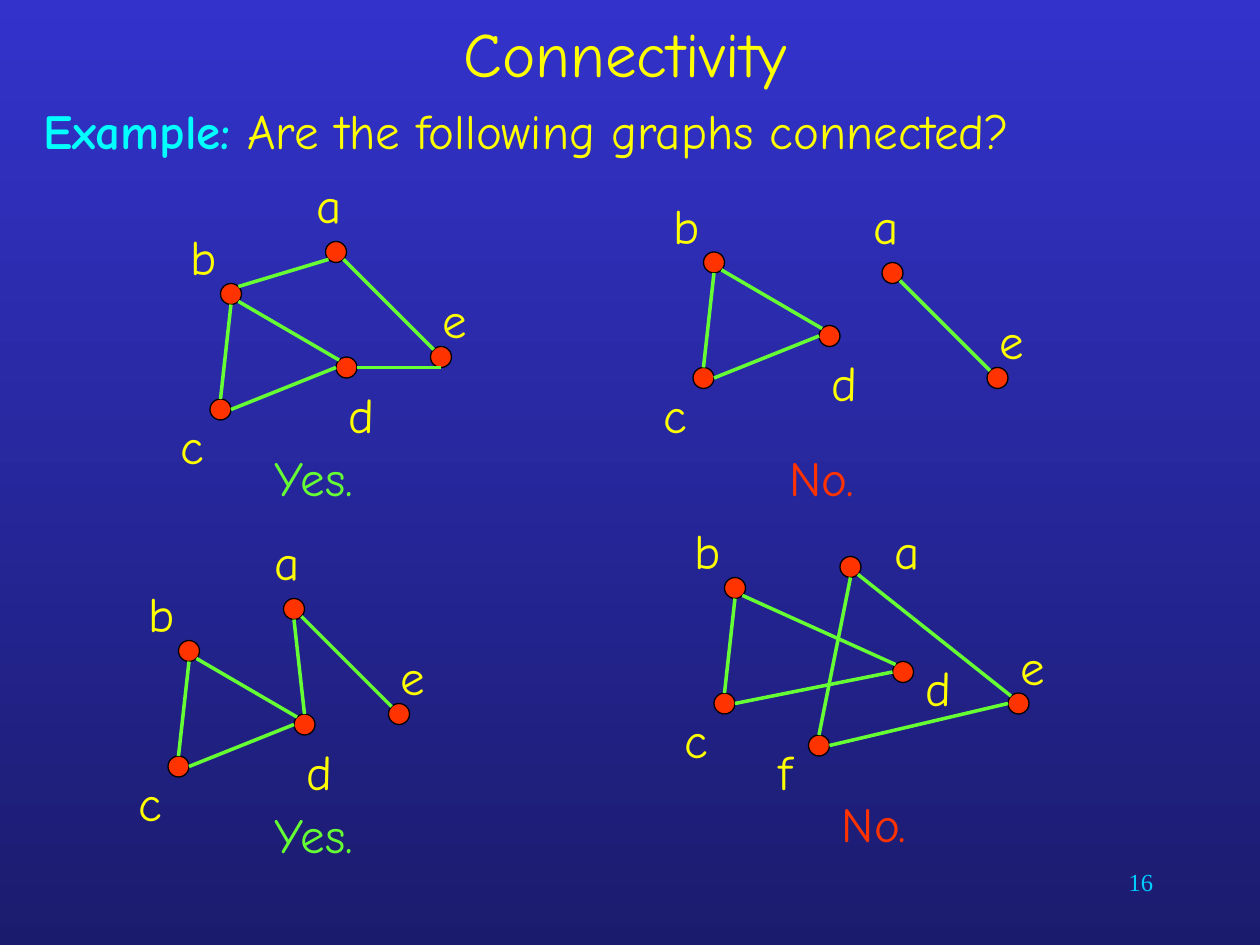
from math import copysign, sqrt

from lxml import etree
from pptx import Presentation
from pptx.dml.color import RGBColor
from pptx.enum import shapes, text
from pptx.oxml.ns import qn
from pptx.util import Inches, Pt

YELLOW = RGBColor(0xFF, 0xFF, 0x00)
CYAN = RGBColor(0x00, 0xFF, 0xFF)
GREEN = RGBColor(0x66, 0xFF, 0x33)
RED = RGBColor(0xFF, 0x33, 0x00)
BLACK = RGBColor(0x00, 0x00, 0x00)
PAGE_BLUE = RGBColor(0x00, 0xCC, 0xFF)
BACKGROUND = [RGBColor(0x33, 0x33, 0xCC), RGBColor(0x1B, 0x1B, 0x6E)]
FONT = "Comic Neue"

# Graph coordinates count twelfths of an inch; a node has a radius of one.
LABEL_OFFSETS = {"a": (-3, -8), "b": (-5, -7), "c": (-5, 0),
                 "d": (-1, 1), "e": (-1, -7), "f": (-5, -1)}
LABEL_WIDTHS = {"a": 8, "b": 4, "c": 5, "d": 8, "e": 8, "f": 5}
COMPASS = {"N": (0, -1), "S": (0, 1), "W": (-1, 0), "E": (1, 0),
           "NW": (-1, -1), "NE": (1, -1), "SW": (-1, 1), "SE": (1, 1)}

# Each edge: start node, side it leaves from, end node, side it reaches.
SHARED_EDGES = ["d W c E", "c N b S", "a SE e NW", "b SE d NW"]
GRAPHS = [
    {"nodes": {"a": (32, 24), "b": (22, 28), "c": (21, 39), "d": (33, 35), "e": (42, 34)},
     "edges": ["d E e S", "b NE a SW"],
     "answer": ("Yes.", GREEN, 25, 42)},
    {"nodes": {"a": (85, 26), "b": (68, 25), "c": (67, 36), "d": (79, 32), "e": (95, 36)},
     "edges": [],
     "answer": ("No.", RED, 74, 42)},
    {"nodes": {"a": (28, 58), "b": (18, 62), "c": (17, 73), "d": (29, 69), "e": (38, 68)},
     "edges": ["d N a S"],
     "answer": ("Yes.", GREEN, 25, 76)},
    {"nodes": {"a": (81, 54), "b": (70, 56), "c": (69, 67), "d": (86, 64), "e": (97, 67),
               "f": (78, 71)},
     "edges": ["f N a S", "f E e W"],
     "label_offsets": {"a": (3, -5), "d": (1, -2)},
     "answer": ("No.", RED, 79, 75)},
]


def add_text(parent, words, left, top, width, height, color, size=28, font=FONT):
    box = parent.add_textbox(Inches(left), Inches(top), Inches(width), Inches(height))
    box.text_frame.word_wrap = True
    para = box.text_frame.paragraphs[0]
    para.text = words
    para.font.name, para.font.size, para.font.color.rgb = font, Pt(size), color
    return para


def rim_point(center, side):
    """Point on a node's circle in a compass direction, in inches."""
    x, y = COMPASS[side]
    length = sqrt(x * x + y * y)
    return [Inches((middle + step / length) / 12) for middle, step in zip(center, (x, y))]


deck = Presentation()
deck.slide_width, deck.slide_height = Inches(10), Inches(7.5)
page = deck.slides.add_slide(deck.slide_layouts[5])

fill = page.background.fill
fill.gradient()
fill.gradient_angle = 270
for stop, color in zip(fill.gradient_stops, BACKGROUND):
    stop.color.rgb = color

title = page.shapes.title
title.left, title.top, title.width, title.height = map(Inches, (0.25, 0, 9.42, 0.83))
title.text_frame.vertical_anchor = text.MSO_ANCHOR.MIDDLE
para = title.text_frame.paragraphs[0]
para.text = "Connectivity"
para.alignment = text.PP_ALIGN.CENTER
para.font.name, para.font.size, para.font.color.rgb = FONT, Pt(36), YELLOW

question = add_text(page.shapes, "Example:", 0.25, 0.75, 9.58, 0.58, YELLOW)
question.runs[0].font.bold = True
question.runs[0].font.color.rgb = CYAN
question.add_run().text = " Are the following graphs connected?"

for graph in GRAPHS:
    group = page.shapes.add_group_shape().shapes
    offsets = LABEL_OFFSETS | graph.get("label_offsets", {})
    for name, (x, y) in graph["nodes"].items():
        node = group.add_shape(shapes.MSO_SHAPE.FLOWCHART_CONNECTOR,
                               Inches((x - 1) / 12), Inches((y - 1) / 12),
                               Inches(2 / 12), Inches(2 / 12))
        node.shadow.inherit = False
        node.fill.solid()
        node.fill.fore_color.rgb = RED
        node.line.color.rgb = BLACK
        node.line.width = Pt(0.75)
        shift_x, shift_y = offsets[name]
        add_text(group, name, (x + shift_x) / 12, (y + shift_y) / 12,
                 LABEL_WIDTHS[name] / 12, 0.57, YELLOW)

    for edge in SHARED_EDGES + graph["edges"]:
        start, start_side, end, end_side = edge.split()
        line = group.add_connector(shapes.MSO_CONNECTOR.STRAIGHT,
                                   *rim_point(graph["nodes"][start], start_side),
                                   *rim_point(graph["nodes"][end], end_side))
        line.line.color.rgb = GREEN
        line.line.width = Pt(2)
        etree.SubElement(line._element.spPr, qn("a:effectLst"))

    answer, color, x, y = graph["answer"]
    add_text(page.shapes, answer, x / 12, y / 12, 1, 0.58, color)

number = add_text(page.shapes, "16", 7.17, 6.83, 2.08, 0.5, PAGE_BLUE, 14, "Times New Roman")
number.alignment = text.PP_ALIGN.RIGHT

deck.save("out.pptx")
